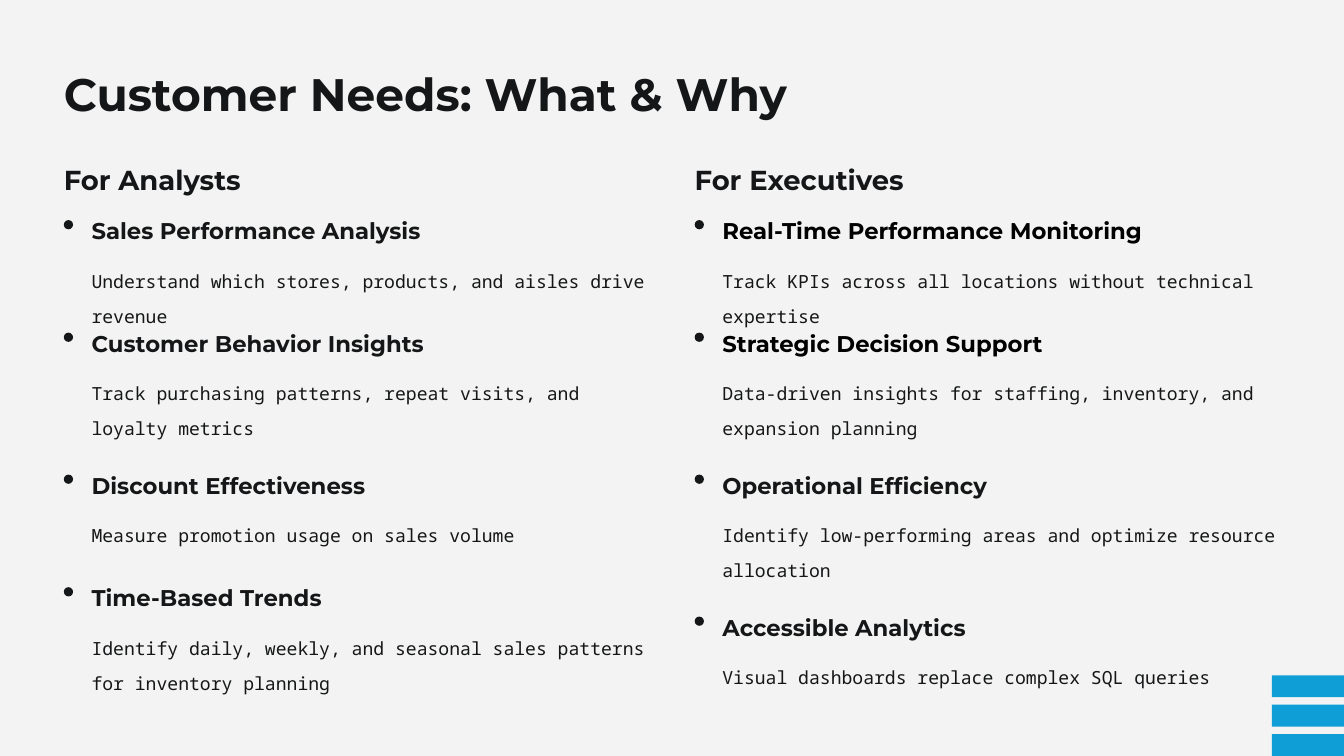
from dataclasses import dataclass

from pptx import Presentation
from pptx.dml.color import RGBColor
from pptx.enum import shapes, text
from pptx.util import Inches, Pt


@dataclass(frozen=True)
class Theme:
    background: str = "F3F3F3"
    ink: str = "151617"
    black: str = "000000"
    accent: str = "0F9ED5"
    display_font: str = "Montserrat"
    body_font: str = "Noto Sans Mono"
    title_size: float = 39
    audience_size: float = 23.5
    need_size: float = 19.5
    reason_size: float = 15.5


THEME = Theme()
LINE_HEIGHT = 0.35

ANALYST_NEEDS = [
    ("Sales Performance Analysis", 4.1, THEME.ink,
     "Understand which stores, products, and aisles drive revenue", 1),
    ("Customer Behavior Insights", 4.12, THEME.ink,
     "Track purchasing patterns, repeat visits, and loyalty metrics", 2),
    ("Discount Effectiveness", 3.42, THEME.ink,
     "Measure promotion usage on sales volume", 1),
    ("Time-Based Trends", 2.85, THEME.ink,
     "Identify daily, weekly, and seasonal sales patterns for inventory planning", 2),
]
EXECUTIVE_NEEDS = [
    ("Real-Time Performance Monitoring", 5.18, THEME.black,
     "Track KPIs across all locations without technical expertise", 1),
    ("Strategic Decision Support", 3.98, THEME.black,
     "Data-driven insights for staffing, inventory, and expansion planning", 2),
    ("Operational Efficiency", 3.31, THEME.ink,
     "Identify low-performing areas and optimize resource allocation", 2),
    ("Accessible Analytics", 3.05, THEME.ink,
     "Visual dashboards replace complex SQL queries", 1),
]


def add_text(slide, box, words, size, spacing, color=THEME.ink,
             font=THEME.display_font, bold=True):
    frame = slide.shapes.add_textbox(*map(Inches, box)).text_frame
    frame.word_wrap = True
    frame.vertical_anchor = text.MSO_ANCHOR.TOP
    frame.margin_left = frame.margin_right = 0
    frame.margin_top = frame.margin_bottom = 0
    paragraph = frame.paragraphs[0]
    paragraph.line_spacing = spacing
    run = paragraph.add_run()
    run.text = words
    run.font.size = Pt(size)
    run.font.name = font
    run.font.bold = bold
    run.font.color.rgb = RGBColor.from_string(color)


def add_filled(parent, preset, box, color):
    shape = parent.shapes.add_shape(preset, *map(Inches, box))
    shape.shadow.inherit = False
    shape.fill.solid()
    shape.fill.fore_color.rgb = RGBColor.from_string(color)
    shape.line.fill.background()
    return shape


def add_need(slide, box, need, need_width, color, reason):
    left, top, width, reason_height = box
    indent = 0.33
    bullet = add_filled(slide, shapes.MSO_SHAPE.ROUNDED_RECTANGLE,
                        (left, top + 0.12, 0.11, 0.11), THEME.ink)
    bullet.adjustments[0] = 0.5
    add_text(slide, (left + indent, top, need_width, 0.34), need,
             THEME.need_size, 1.26, color)
    add_text(slide, (left + indent, top + 0.56, width - indent, reason_height),
             reason, THEME.reason_size, 1.61, font=THEME.body_font, bold=False)


def add_audience(slide, box, audience, needs):
    left, top, width = box
    add_text(slide, (left, top, 3.27, 0.41), audience, THEME.audience_size, 1.23)
    need_top = top + 0.65
    for need, need_width, color, reason, lines in needs:
        reason_height = lines * LINE_HEIGHT
        add_need(slide, (left, need_top, width, reason_height),
                 need, need_width, color, reason)
        need_top += 0.99 + reason_height


def add_corner_bars(slide, box):
    left, top, width, height = box
    bar_height = 0.26
    pitch = (height - bar_height) / 2
    bars = slide.shapes.add_group_shape()
    for row in range(3):
        add_filled(bars, shapes.MSO_SHAPE.RECTANGLE,
                   (left, top + row * pitch, width, bar_height), THEME.accent)


def add_customer_needs(presentation):
    slide = presentation.slides.add_slide(presentation.slide_layouts[6])
    slide.background.fill.solid()
    slide.background.fill.fore_color.rgb = RGBColor.from_string(THEME.background)
    add_text(slide, (0.76, 0.62, 8.99, 0.68), "Customer Needs: What & Why",
             THEME.title_size, 1.26)
    add_audience(slide, (0.76, 1.85, 6.97), "For Analysts", ANALYST_NEEDS)
    add_audience(slide, (8.27, 1.85, 6.97), "For Executives", EXECUTIVE_NEEDS)
    add_corner_bars(slide, (15.14, 8.04, 0.88, 0.96))


def main():
    presentation = Presentation()
    presentation.slide_width = Inches(16)
    presentation.slide_height = Inches(9)
    add_customer_needs(presentation)
    presentation.save("out.pptx")


if __name__ == "__main__":
    main()
